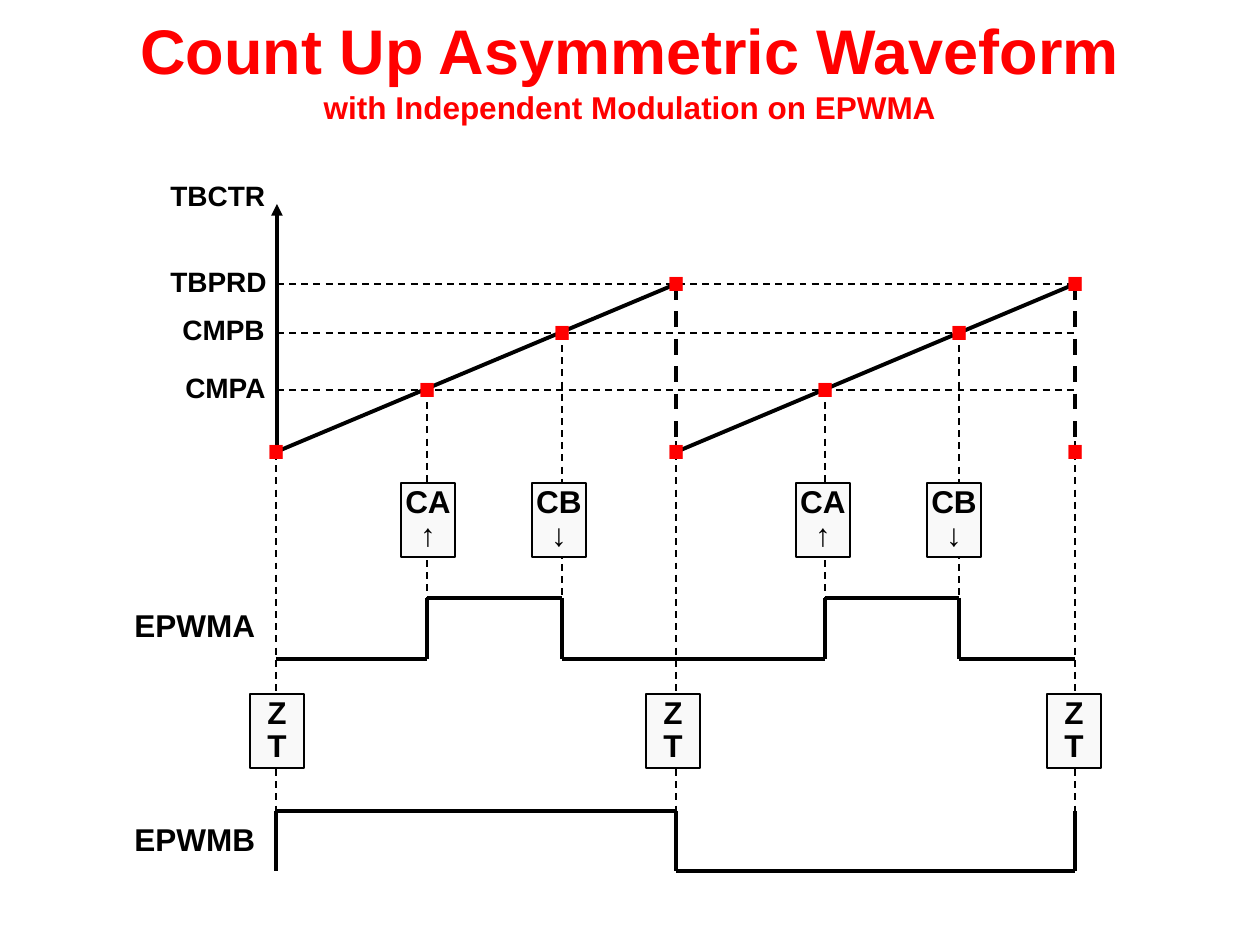
from itertools import pairwise
from lxml import etree
from pptx import Presentation
from pptx.dml.color import RGBColor
from pptx.enum.dml import MSO_LINE
from pptx.enum.shapes import MSO_CONNECTOR, MSO_SHAPE
from pptx.enum.text import MSO_ANCHOR, MSO_AUTO_SIZE, PP_ALIGN
from pptx.oxml.ns import qn
from pptx.util import Emu, Inches, Pt

COLORS = {"ink": "000000", "accent": "FF0000", "box": "F9F9F9"}
FONT = "Arial"


def px(n):
    return Emu(round(n * 914400 / 126))


class Diagram:
    def __init__(self, slide):
        self.shapes = slide.shapes

    def color(self, name):
        return RGBColor.from_string(COLORS[name])

    def style(self, p, size, color, before=None, align=PP_ALIGN.LEFT):
        p.alignment = align
        for r in p.runs:
            r.font.name, r.font.size, r.font.bold = FONT, Pt(size), True
            r.font.color.rgb = self.color(color)
        if before:
            p.line_spacing = 0.8
            p.space_before = Pt(0)
            spacing = p._p.pPr.find(qn("a:spcBef"))
            spacing.remove(spacing[0])
            etree.SubElement(spacing, qn("a:spcPct")).set("val", str(before * 1000))

    def title(self, lines):
        tf = self.shapes.add_textbox(0, 0, px(1260), px(102)).text_frame
        tf.word_wrap = True
        tf.margin_top = px(12)
        tf.text = "\n".join(text for text, _ in lines)
        for p, (_, size) in zip(tf.paragraphs, lines):
            self.style(p, size, "accent", align=PP_ALIGN.CENTER)

    def label(self, text, x, y, w, h, size, color="ink"):
        tf = self.shapes.add_textbox(px(x), px(y), px(w), px(h)).text_frame
        tf.word_wrap = False
        tf.auto_size = MSO_AUTO_SIZE.SHAPE_TO_FIT_TEXT
        tf.text = text
        self.style(tf.paragraphs[0], size, color, before=50)

    def dot(self, x, y):
        self.label(".", x - 25, y - 71, 49, 105, 54, "accent")

    def event(self, text, x, y):
        sp = self.shapes.add_shape(MSO_SHAPE.RECTANGLE, px(x), px(y), px(54), px(74))
        sp.shadow.inherit = False
        sp.fill.solid()
        sp.fill.fore_color.rgb = self.color("box")
        sp.line.color.rgb = self.color("ink")
        sp.line.width = Pt(1)
        tf = sp.text_frame
        tf.word_wrap = False
        tf.vertical_anchor = MSO_ANCHOR.TOP
        tf.margin_left = tf.margin_right = 0
        tf.text = text
        for p in tf.paragraphs:
            self.style(p, 18, "ink", before=10, align=PP_ALIGN.CENTER)

    def line(self, x1, y1, x2, y2, width=2.25, dash=False, arrow=False):
        cn = self.shapes.add_connector(MSO_CONNECTOR.STRAIGHT, px(x1), px(y1), px(x2), px(y2))
        cn.line.color.rgb = self.color("ink")
        cn.line.width = Pt(width)
        if dash:
            cn.line.dash_style = MSO_LINE.DASH
        if arrow:
            etree.SubElement(cn.line._get_or_add_ln(), qn("a:tailEnd")).set("type", "triangle")
        etree.SubElement(cn._element.spPr, qn("a:effectLst"))

    def wave(self, points):
        for start, end in pairwise(points):
            self.line(*start, *end)


prs = Presentation()
prs.slide_width, prs.slide_height = Inches(10), Inches(7.5)
d = Diagram(prs.slides.add_slide(prs.slide_layouts[6]))

# Time positions (x) and counter levels (y)
ZEROS = [276, 676, 1075]
CA, CB = [427, 825], [562, 959]
PERIOD, CMPB, CMPA, ZERO = 284, 333, 390, 452
A_HIGH, A_LOW = 598, 659
B_HIGH, B_LOW = 811, 871

d.title([("Count Up Asymmetric Waveform", 36), ("with Independent Modulation on EPWMA", 18)])

# Vertical guides
for xs, top, bottom in [(ZEROS, 441, 816), (CB, CMPB, A_HIGH), (CA, CMPA, A_HIGH)]:
    for x in xs:
        d.line(x, top, x, bottom, width=1, dash=True)

# Event boxes
for x in (401, 796):
    d.event("CA\n↑", x, 483)
    d.event("CB\n↓", x + 131, 483)
for x in (250, 646, 1047):
    d.event("Z\nT", x, 694)

# Output waveforms
d.label("EPWMA", 122, 607, 146, 43, 18)
d.label("EPWMB", 122, 821, 146, 43, 18)
wave_a = [(ZEROS[0], A_LOW)]
for rise, fall in zip(CA, CB):
    wave_a += [(rise, A_LOW), (rise, A_HIGH), (fall, A_HIGH), (fall, A_LOW)]
d.wave(wave_a + [(ZEROS[-1], A_LOW)])
d.wave([(ZEROS[0], B_LOW), (ZEROS[0], B_HIGH), (ZEROS[1], B_HIGH),
        (ZEROS[1], B_LOW), (ZEROS[2], B_LOW), (ZEROS[2], B_HIGH)])

# Counter axis, levels and ramps
for y in (PERIOD, CMPB, CMPA):
    d.line(277, y, ZEROS[-1], y, width=1, dash=True)
for start, end in pairwise(ZEROS):
    d.line(start, ZERO, end, PERIOD)
    d.line(end, PERIOD, end, ZERO, dash=True)
d.line(277, ZERO, 277, 204, arrow=True)

for text, x, y, w in [("TBCTR", 158, 179, 120), ("TBPRD", 158, 265, 121),
                      ("CMPB", 170, 313, 108), ("CMPA", 173, 371, 106)]:
    d.label(text, x, y, w, 40, 16)

# Event points on the ramps
for xs, y in [(ZEROS, ZERO), (ZEROS[1:], PERIOD), (CB, CMPB), (CA, CMPA)]:
    for x in xs:
        d.dot(x, y)

prs.save("out.pptx")
